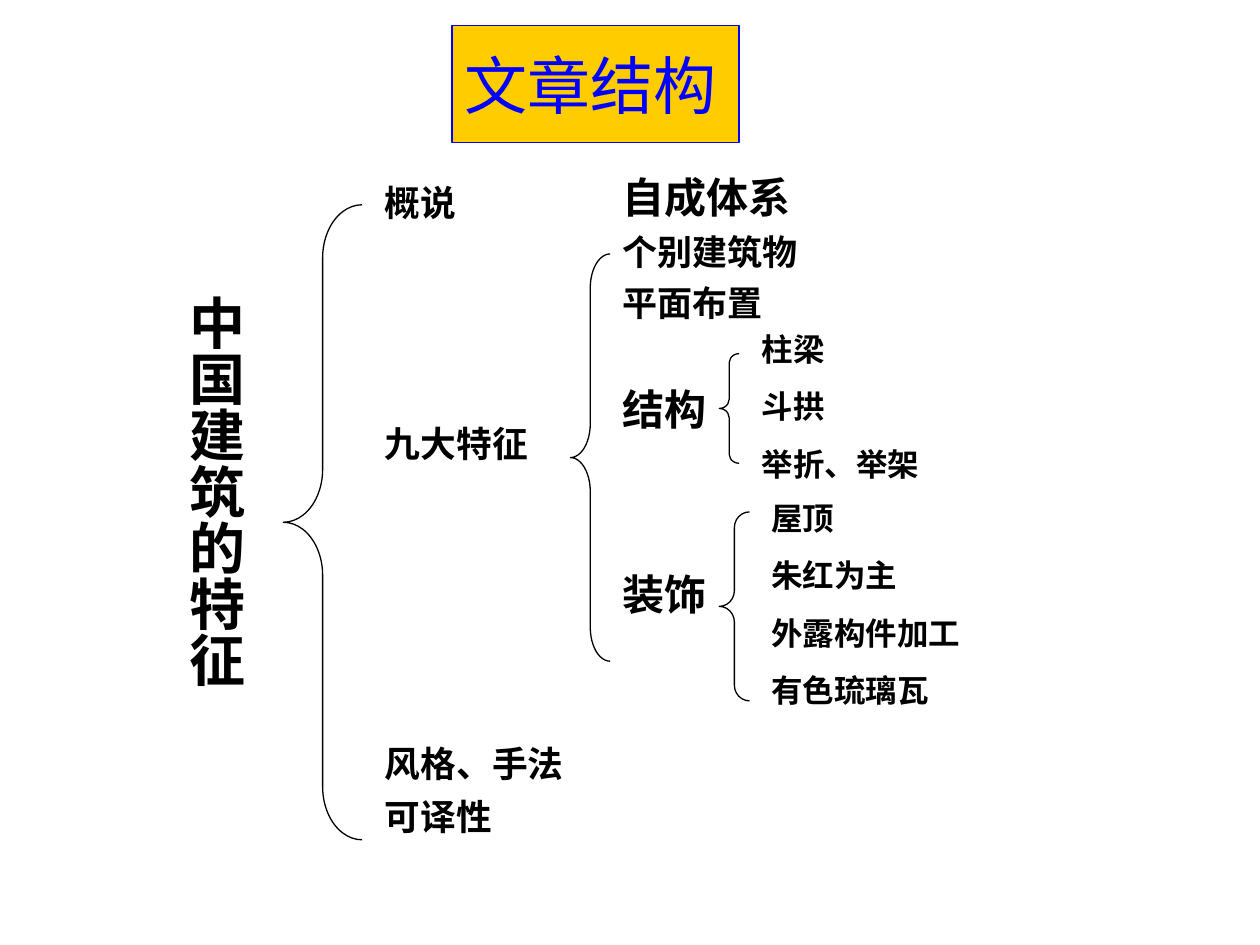
from lxml import etree
from pptx import Presentation, util as u
from pptx.dml.color import RGBColor
from pptx.enum import shapes, text
from pptx.oxml.ns import qn

HUES = {"gold": "FFCC00", "blue": "0000FF", "ink": "000000"}
SANS = "Arial"
HAN = "Noto Sans CJK SC"


def hue(key):
    return RGBColor.from_string(HUES[key])


def place(shape, box):
    shape.left, shape.top, shape.width, shape.height = [u.Cm(n) for n in box]


def style(run, size, key="ink", face=SANS, bold=True):
    font = run.font
    font.size, font.bold, font.name = u.Pt(size), bold, face
    font.color.rgb = hue(key)
    etree.SubElement(run._r.get_or_add_rPr(), qn("a:ea")).set("typeface", HAN)


def add_list(slide, box, rows):
    area = slide.shapes.add_textbox(*[u.Cm(n) for n in box])
    frame = area.text_frame
    frame.word_wrap = True
    frame.text = "\n".join(row[0] for row in rows)
    for para, (_, size, gap) in zip(frame.paragraphs, rows):
        if gap:
            para.space_before = u.Pt(gap)
        style(para.runs[0], size)
    return frame


def add_brace(slide, box):
    brace = slide.shapes.add_shape(
        shapes.MSO_SHAPE.LEFT_BRACE, *[u.Cm(n) for n in box])
    wide, high = box[2:]
    brace.adjustments[0] = high / 12 / wide
    brace.shadow.inherit = False
    brace.fill.background()
    brace.line.color.rgb = hue("ink")
    brace.line.width = u.Pt(0.75)


def add_title(slide, box):
    title = slide.shapes.title
    place(title, box)
    title.fill.solid()
    title.fill.fore_color.rgb = hue("gold")
    title.line.color.rgb = hue("blue")
    title.line.width = u.Pt(0.75)
    frame = title.text_frame
    frame.text = "文章结构"
    frame.vertical_anchor = text.MSO_ANCHOR.MIDDLE
    para = frame.paragraphs[0]
    para.alignment = text.PP_ALIGN.LEFT
    style(para.runs[0], 36, "blue", HAN, False)


def add_topic(slide, box):
    frame = add_list(slide, box, [("中国建筑的特征", 32, 0)])
    frame.margin_left = frame.margin_right = u.Cm(0.13)
    frame.margin_top, frame.margin_bottom = u.Cm(0.63), u.Cm(0.25)
    frame._txBody.bodyPr.set("vert", "eaVert")


def add_branch(slide, box, brace, inset, rows):
    left, top, wide, high = box
    drop, span, tall = brace
    add_brace(slide, (left, top + drop, span, tall))
    add_list(slide, (left + inset, top, wide - inset, high), rows)


def leaves(*names):
    return [(name, 18, 11.2 if i else 0) for i, name in enumerate(names)]


def main():
    deck = Presentation()
    deck.slide_width, deck.slide_height = u.Cm(25.4), u.Cm(19.05)
    slide = deck.slides.add_slide(deck.slide_layouts[5])
    add_title(slide, (9.11, 0.52, 5.79, 2.36))
    add_topic(slide, (3.3, 5.33, 1.85, 9.19))
    add_branch(slide, (5.71, 3.53, 7.01, 13.92), (0.6, 1.59, 12.8), 1.8, [
        ("概说", 20.4, 0), ("九大特征", 20.4, 112.7),
        ("风格、手法", 20.4, 158.5), ("可译性", 20.4, 6)])
    add_branch(slide, (11.5, 3.33, 6.58, 13.56), (1.79, 0.8, 8.21), 0.8, [
        ("自成体系", 24, 0), ("个别建筑物", 20, 5), ("平面布置", 20, 5),
        ("结构", 24, 34.7), ("装饰", 24, 76.4)])
    add_branch(slide, (14.5, 6.53, 4.6, 3.35), (0.6, 0.4, 2.21), 0.61,
               leaves("柱梁", "斗拱", "举折、举架"))
    add_branch(slide, (14.5, 9.93, 6, 5.66), (0.39, 0.61, 3.81), 0.8,
               leaves("屋顶", "朱红为主", "外露构件加工", "有色琉璃瓦"))
    deck.save("out.pptx")


if __name__ == "__main__":
    main()
